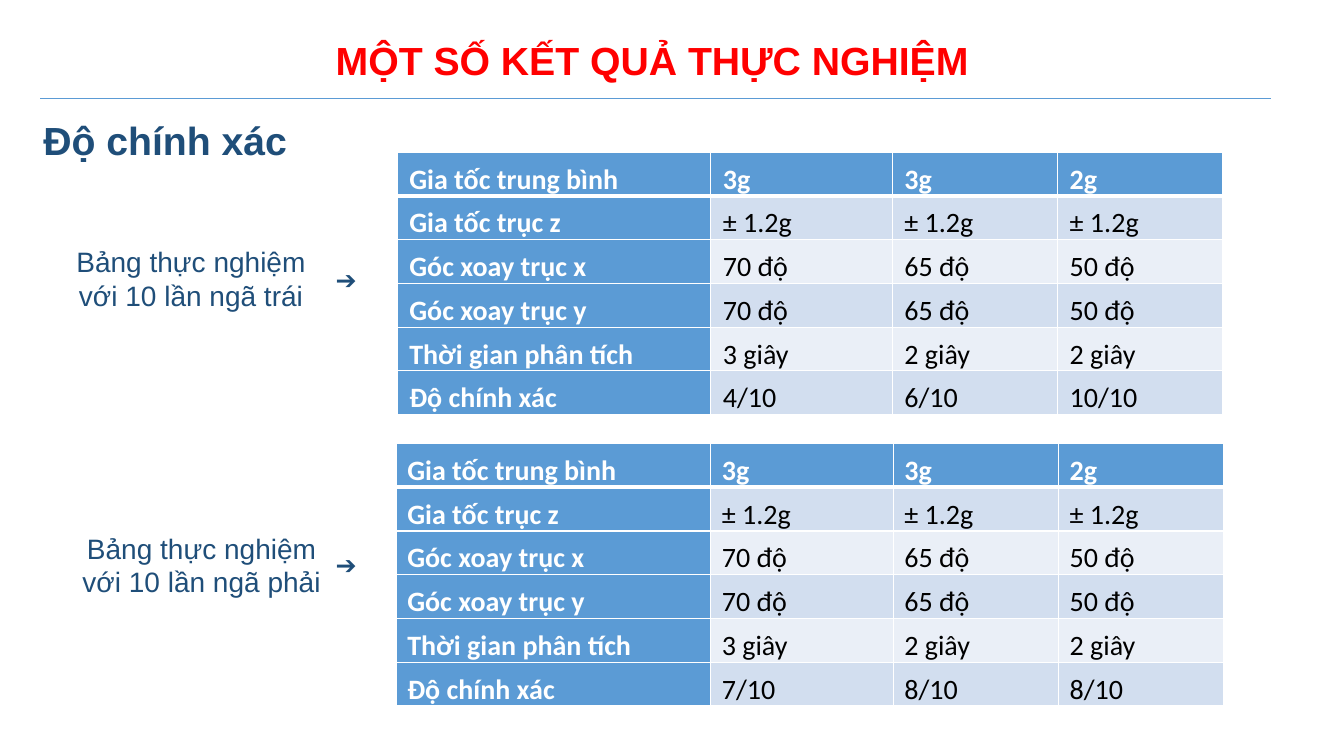
from lxml import etree
from pptx import Presentation
from pptx import util as u
from pptx.dml.color import RGBColor
from pptx.enum import shapes, text
from pptx.oxml.ns import qn

RED = RGBColor(0xFF, 0x00, 0x00)
NAVY = RGBColor(0x1F, 0x4E, 0x79)
BLUE = RGBColor(0x5B, 0x9B, 0xD5)
BAND_DARK = RGBColor(0xD2, 0xDE, 0xEF)
BAND_LIGHT = RGBColor(0xEA, 0xEF, 0xF7)
WHITE = RGBColor(0xFF, 0xFF, 0xFF)
BLACK = RGBColor(0x00, 0x00, 0x00)

TITLE = "MỘT SỐ KẾT QUẢ THỰC NGHIỆM"
SECTION = "Độ chính xác"
ARROW = "➔"
SETTINGS = [
    ("Gia tốc trung bình", "3g", "3g", "2g"),
    ("Gia tốc trục z", "± 1.2g", "± 1.2g", "± 1.2g"),
    ("Góc xoay trục x", "70 độ", "65 độ", "50 độ"),
    ("Góc xoay trục y", "70 độ", "65 độ", "50 độ"),
    ("Thời gian phân tích", "3 giây", "2 giây", "2 giây"),
]
EXPERIMENTS = [
    {
        "caption": ["Bảng thực nghiệm", "với 10 lần ngã trái"],
        "caption_at": (0.65, 2.38, 2.49, 0.77),
        "arrow_top": 2.57,
        "scores": ("Độ chính xác", "4/10", "6/10", "10/10"),
        "corner": (3.94, 1.51),
        "columns": (3.11, 1.8, 1.64, 1.64),
        "inset": 0.12,
    },
    {
        "caption": ["Bảng thực nghiệm", "với 10 lần ngã phải"],
        "caption_at": (0.71, 5.22, 2.58, 0.77),
        "arrow_top": 5.4,
        "scores": ("Độ chính xác", "7/10", "8/10", "8/10"),
        "corner": (3.93, 4.4),
        "columns": (3.12, 1.81, 1.64, 1.64),
        "inset": 0.11,
    },
]
ROW_HEIGHT = 0.43
RULE_LEFT, RULE_RIGHT, RULE_TOP = 0.4, 12.61, 0.98


def apply(target, values):
    for name, value in values.items():
        setattr(target, name, value)


def place(shape, left, top, width, height):
    apply(shape, {"left": u.Inches(left), "top": u.Inches(top),
                  "width": u.Inches(width), "height": u.Inches(height)})


def write(frame, lines, size, font, color, bold=False, align=text.PP_ALIGN.LEFT, **spacing):
    for index, line in enumerate(lines):
        para = frame.paragraphs[0] if index == 0 else frame.add_paragraph()
        span = para.add_run()
        span.text = line
        apply(para, {"alignment": align, **spacing})
        apply(span.font, {"size": u.Pt(size), "name": font, "bold": bold})
        span.font.color.rgb = color


def add_label(page, at, lines, size, font, align):
    box = page.shapes.add_textbox(*map(u.Inches, at))
    apply(box.text_frame, {"word_wrap": False, "auto_size": text.MSO_AUTO_SIZE.SHAPE_TO_FIT_TEXT})
    write(box.text_frame, lines, size, font, NAVY, align=align)


def set_borders(cell, row):
    widths = {"lnL": 1, "lnR": 1, "lnT": 3 if row == 1 else 1, "lnB": 3 if row == 0 else 1}
    properties = cell._tc.get_or_add_tcPr()
    for index, (side, width) in enumerate(widths.items()):
        border = etree.Element(qn("a:" + side), w=str(u.Pt(width)))
        fill = etree.SubElement(border, qn("a:solidFill"))
        etree.SubElement(fill, qn("a:srgbClr"), val=str(WHITE))
        properties.insert(index, border)


def add_results(page, experiment):
    rows = SETTINGS + [experiment["scores"]]
    columns = experiment["columns"]
    frame = page.shapes.add_table(
        len(rows), len(columns), *map(u.Inches, experiment["corner"]),
        u.Inches(sum(columns)), u.Inches(ROW_HEIGHT * len(rows)))
    table = frame.table
    table.first_col = True
    for column, width in zip(table.columns, columns):
        column.width = u.Inches(width)
    inset = u.Inches(experiment["inset"])
    for r, values in enumerate(rows):
        table.rows[r].height = u.Inches(ROW_HEIGHT)
        for c, value in enumerate(values):
            cell = table.cell(r, c)
            heading = r == 0 or c == 0
            apply(cell, {"margin_left": inset, "margin_right": inset,
                         "margin_top": 0, "margin_bottom": 0})
            cell.fill.solid()
            cell.fill.fore_color.rgb = BLUE if heading else BAND_DARK if r % 2 else BAND_LIGHT
            set_borders(cell, r)
            write(cell.text_frame, [value], 20, "Calibri", WHITE if heading else BLACK,
                  heading, text.PP_ALIGN.JUSTIFY, line_spacing=1.3, space_after=u.Pt(6))


def main():
    deck = Presentation()
    apply(deck, {"slide_width": u.Inches(13.33), "slide_height": u.Inches(7.5)})
    page = deck.slides.add_slide(deck.slide_layouts[1])

    title = page.shapes.title
    place(title, 3.23, 0.31, 6.55, 0.57)
    apply(title.text_frame, {"word_wrap": False, "auto_size": text.MSO_AUTO_SIZE.NONE,
                             "vertical_anchor": text.MSO_ANCHOR.MIDDLE})
    write(title.text_frame, [TITLE], 28, "Arial", RED, True)

    rule = page.shapes.add_connector(
        shapes.MSO_CONNECTOR.STRAIGHT,
        *map(u.Inches, (RULE_LEFT, RULE_TOP, RULE_RIGHT, RULE_TOP)))
    rule.line.color.rgb = BLUE
    rule.line.width = u.Pt(0.75)
    etree.SubElement(rule._element.spPr, qn("a:effectLst"))

    section = page.placeholders[1]
    place(section, 0.33, 1.16, 4.09, 1.42)
    section.text_frame.auto_size = text.MSO_AUTO_SIZE.NONE
    layout = section.text_frame.paragraphs[0]._p.get_or_add_pPr()
    apply_indent = {"marL": "0", "indent": "0"}
    for name, value in apply_indent.items():
        layout.set(name, value)
    etree.SubElement(layout, qn("a:buNone"))
    write(section.text_frame, [SECTION], 28, "Arial", NAVY, True,
          line_spacing=0.9, space_before=u.Pt(0))

    for experiment in EXPERIMENTS:
        add_label(page, experiment["caption_at"], experiment["caption"], 20, "Arial",
                  text.PP_ALIGN.CENTER)
        add_label(page, (3.23, experiment["arrow_top"], 0.47, 0.4), [ARROW], 18, "Calibri",
                  text.PP_ALIGN.LEFT)
        add_results(page, experiment)

    deck.save("out.pptx")


if __name__ == "__main__":
    main()
